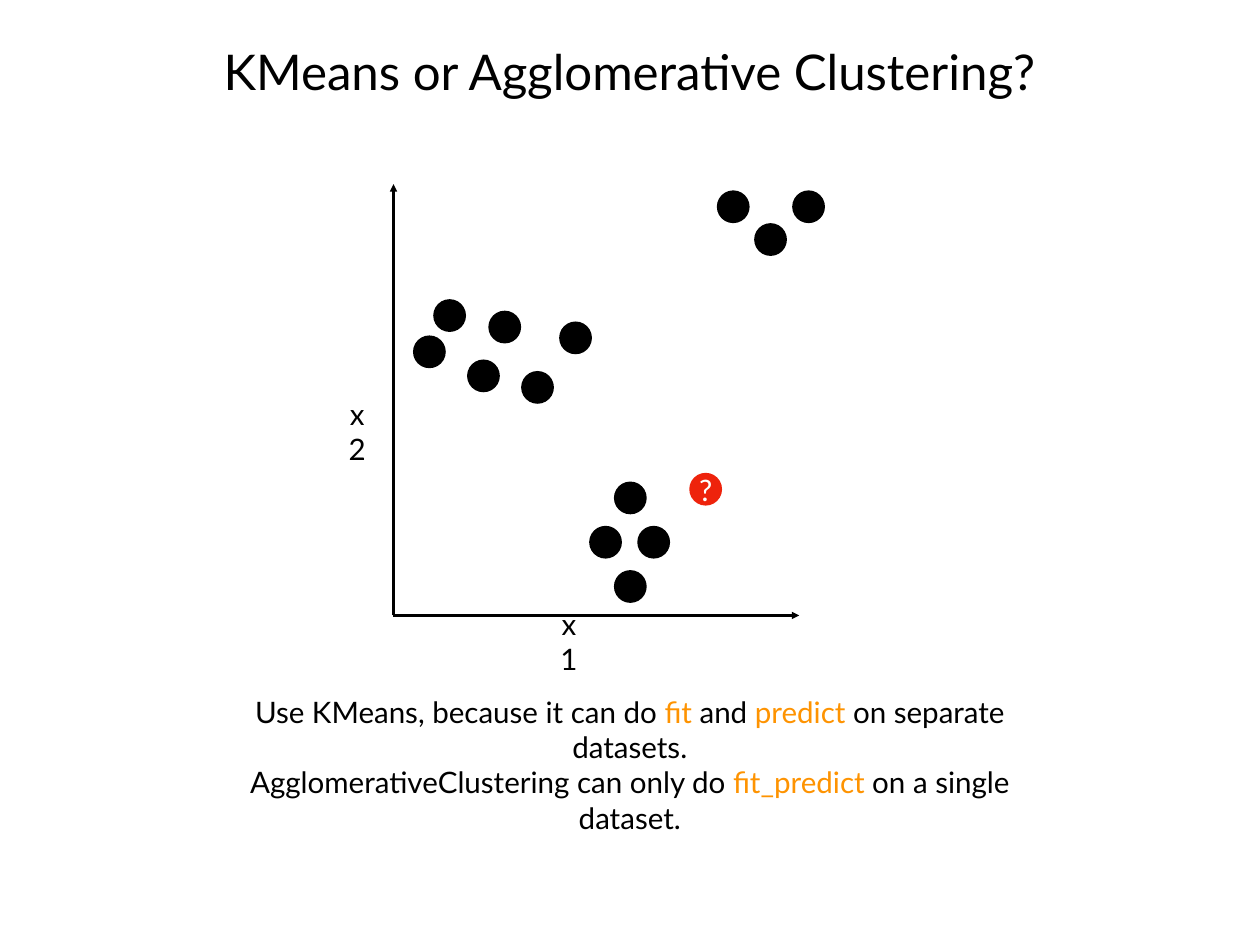
import pptx
import pptx.util
import pptx.dml.color
import pptx.enum.shapes
import pptx.enum.text
import lxml.etree
from pptx.util import Cm

BLACK = pptx.dml.color.RGBColor(0, 0, 0)
WHITE = pptx.dml.color.RGBColor(255, 255, 255)
RED = pptx.dml.color.RGBColor(0xEE, 0x23, 0x0C)
ORANGE = pptx.dml.color.RGBColor(0xFE, 0x93, 0x01)
FONT = "Lato"
DOT = 0.94
ANCHOR = pptx.enum.text.MSO_ANCHOR

LEFT = [(1.14, 3.3), (2.72, 3.63), (4.75, 3.94),
        (0.56, 4.34), (2.11, 5.03), (3.66, 5.36)]
TOP = [(9.27, 0.18), (10.34, 1.12), (11.43, 0.18)]
LOW = [(6.32, 8.53), (5.61, 9.8), (6.99, 9.8), (6.32, 11.07)]
QUERY = (8.48, 8.28)


def write(shape, lines, size=24, anchor=ANCHOR.MIDDLE, inset=0.0, wrap=True):
    frame = shape.text_frame
    frame.word_wrap = wrap
    frame.vertical_anchor = anchor
    frame.margin_left = frame.margin_right = Cm(inset)
    frame.margin_top = frame.margin_bottom = Cm(inset)
    for i, line in enumerate(lines):
        para = frame.add_paragraph() if i else frame.paragraphs[0]
        para.alignment = pptx.enum.text.PP_ALIGN.CENTER
        for text, color in line:
            run = para.add_run()
            run.text = text
            run.font.name = FONT
            run.font.size = pptx.util.Pt(size)
            run.font.color.rgb = color


def label(slide, box, lines, **style):
    write(slide.shapes.add_textbox(*map(Cm, box)), lines, **style)


def axis(slide, start, end):
    kind = pptx.enum.shapes.MSO_CONNECTOR.STRAIGHT
    line = slide.shapes.add_connector(kind, *map(Cm, start + end))
    line.line.color.rgb = BLACK
    line.line.width = pptx.util.Pt(2)
    tag = pptx.oxml.ns.qn
    tip = lxml.etree.SubElement(line.line._get_or_add_ln(), tag("a:tailEnd"))
    tip.set("type", "triangle")
    lxml.etree.SubElement(line._element.spPr, tag("a:effectLst"))


def dot(slide, x, y, color):
    kind = pptx.enum.shapes.MSO_SHAPE.OVAL
    shape = slide.shapes.add_shape(kind, Cm(x), Cm(y), Cm(DOT), Cm(DOT))
    shape.shadow.inherit = False
    shape.fill.solid()
    shape.fill.fore_color.rgb = color
    shape.line.fill.background()
    return shape


def title(slide, box):
    lines = [[("KMeans or Agglomerative Clustering?", BLACK)]]
    label(slide, box, lines, size=40, anchor=ANCHOR.BOTTOM, inset=0.15)


def plot(slide, box):
    x, y, width, height = box
    base = (x, y + height)
    axis(slide, base, (x, y))
    axis(slide, base, (x + width, y + height))
    for dx, dy in LEFT + TOP + LOW:
        dot(slide, x + dx, y + dy, BLACK)
    query = dot(slide, x + QUERY[0], y + QUERY[1], RED)
    write(query, [[("?", WHITE)]], wrap=False)
    for name, dx, dy in (("x1", 4.65, 12.09), ("x2", -1.42, 6.07)):
        label(slide, (x + dx, y + dy, 0.76, 2.03), [[(name, BLACK)]])


def answer(slide, box):
    label(slide, box, [
        [("Use KMeans, because it can do ", BLACK), ("fit", ORANGE),
         (" and ", BLACK), ("predict", ORANGE),
         (" on separate datasets.", BLACK)],
        [("AgglomerativeClustering can only do ", BLACK),
         ("fit_predict", ORANGE), (" on a single dataset.", BLACK)],
    ], inset=0.15)


deck = pptx.Presentation()
deck.slide_width = Cm(36.12)
deck.slide_height = Cm(27.1)
page = deck.slides.add_slide(deck.slide_layouts[6])
title(page, (1.47, -1.32, 33.15, 4.34))
plot(page, (11.28, 5.28, 11.63, 12.37))
answer(page, (6.32, 19.89, 23.47, 4.06))
deck.save("out.pptx")
